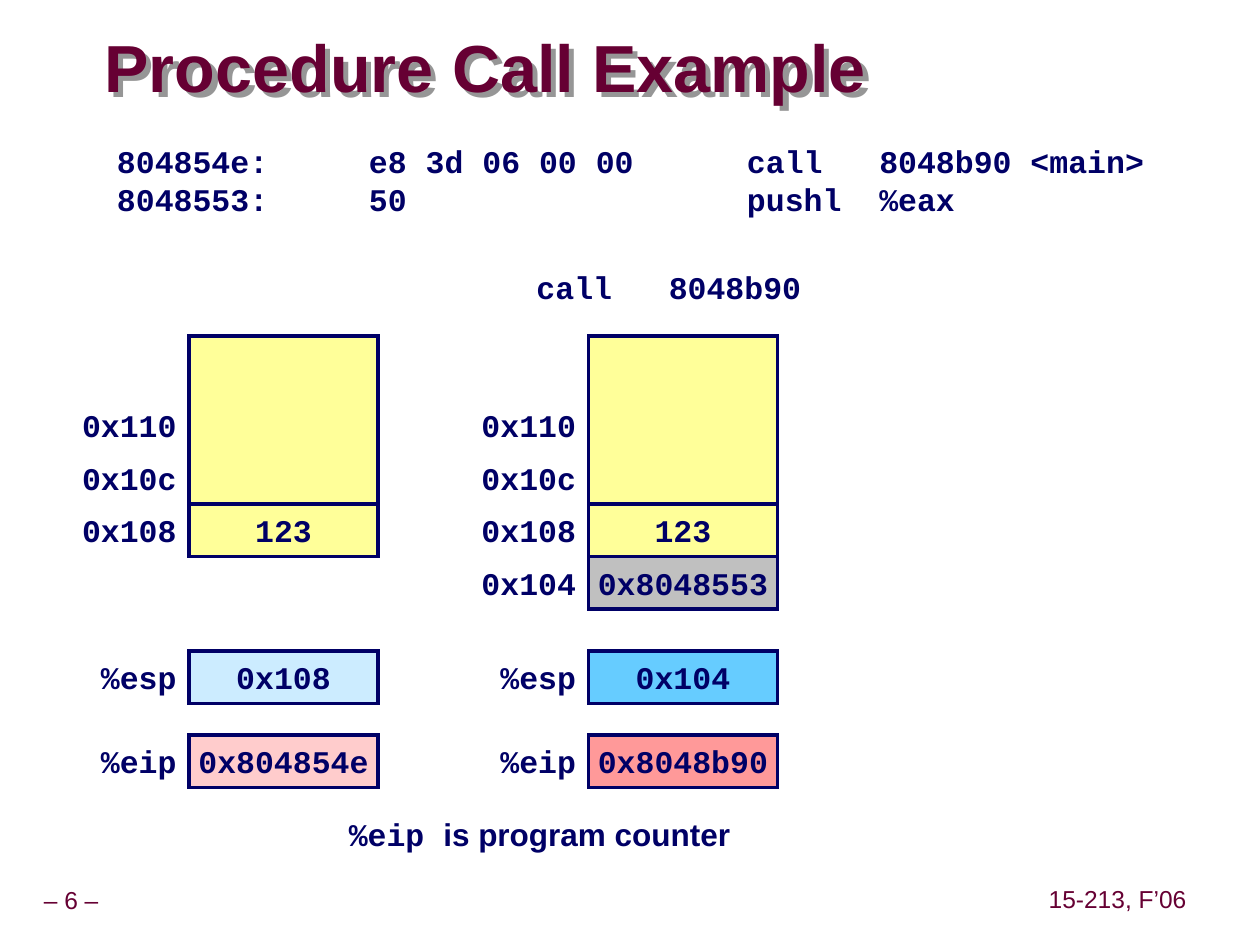
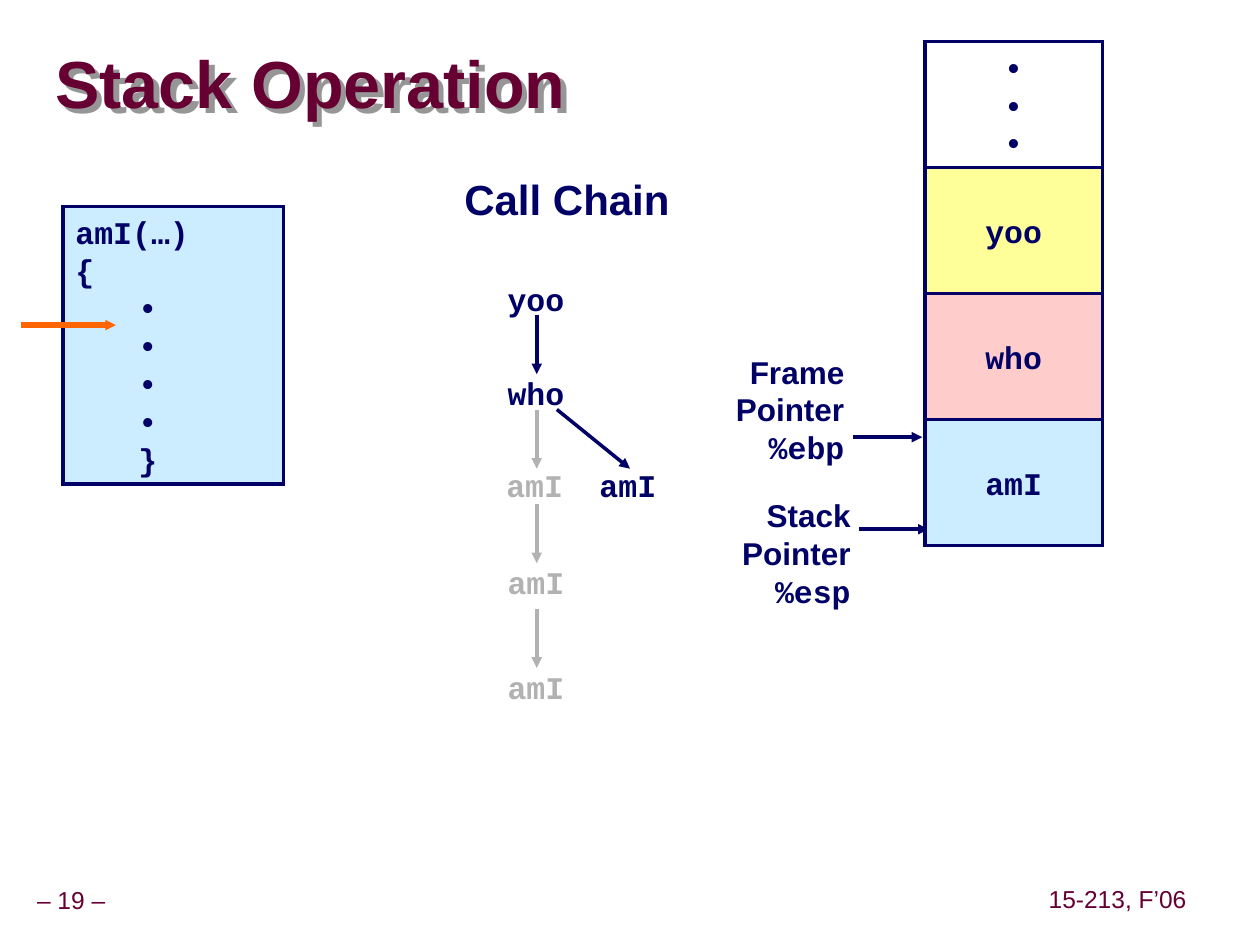
"""Build two slides on procedure calls and stack frames."""
import pptx
import pptx.util
import pptx.dml.color
import pptx.enum.text
import pptx.enum.shapes
import pptx.oxml
import pptx.oxml.ns

WIDE, HIGH = 10, 7.5
NAVY, WINE, GRAY, ORANGE = "000066", "660033", "B2B2B2", "FF6600"
YELLOW, PINK, SKY, WHITE = "FFFF99", "FFCCCC", "CCECFF", "FFFFFF"
SANS, MONO = "Arial", "Courier New"
COURSE = "15-213, F’06"

CODE = ["804854e:\te8 3d 06 00 00\tcall   8048b90 <main>",
        "8048553:\t50\tpushl  %eax"]
STOPS = (2, 5)
STEP = "call   8048b90"
NOTE = [[("%eip ", MONO), ("is program counter", SANS)]]

ROW, COL, BASE = HIGH / 18, 1.5, 4
ESP, EIP = 2.8, 4.4
STATES = [
    (COL, [(-2, "0x110", "", None), (-1, "0x10c", "", None),
           (0, "0x108", "123", YELLOW),
           (ESP, "%esp", "0x108", SKY), (EIP, "%eip", "0x804854e", PINK)]),
    (4.67, [(-2, "0x110", "", None), (-1, "0x10c", "", None),
            (0, "0x108", "123", YELLOW), (1, "0x104", "0x8048553", "C0C0C0"),
            (ESP, "%esp", "0x104", "66CCFF"),
            (EIP, "%eip", "0x8048b90", "FF9999")]),
]

BODY = ["amI(…)", "{", "•", "•", "•", "•", "}"]
STACK = [(["•"] * 3, None), (["yoo"], YELLOW), (["who"], PINK), (["amI"], SKY)]
FRAMES = [("Frame", "%ebp", 6.8, 2.75, 3.47), ("Stack", "%esp", 6.85, 3.89, 4.2)]
CHAIN = [("yoo", 3.93, 2.17, NAVY), ("who", 3.93, 2.92, NAVY),
         ("amI", 3.92, 3.65, GRAY), ("amI", 3.93, 4.42, GRAY),
         ("amI", 3.93, 5.25, GRAY), ("amI", 4.66, 3.65, NAVY)]
MID, DROP = 4.26, 0.47
LINKS = [(MID, 2.5, MID, NAVY), (MID, 3.25, MID, GRAY), (MID, 4, MID, GRAY),
         (MID, 4.83, MID, GRAY), (4.42, 3.25, 5, NAVY)]

Inch, Pt = pptx.util.Inches, pptx.util.Pt
ALIGN = pptx.enum.text.PP_ALIGN
ANCHOR = pptx.enum.text.MSO_ANCHOR
LEFT, MIDST, RIGHT = ALIGN.LEFT, ALIGN.CENTER, ALIGN.RIGHT


def hue(code):
    return pptx.dml.color.RGBColor.from_string(code)


def node(tag, inner="", **attrs):
    space = pptx.oxml.ns.nsdecls("a")
    extra = " ".join(f'{key}="{val}"' for key, val in attrs.items())
    return pptx.oxml.parse_xml(f"<a:{tag} {space} {extra}>{inner}</a:{tag}>")


def write(shape, lines, font=MONO, size=18, color=NAVY, align=LEFT,
          pad=0.1, top=0.05, bold=True, mid=False, space=None):
    frame = shape.text_frame
    frame.word_wrap = True
    frame.auto_size = pptx.enum.text.MSO_AUTO_SIZE.NONE
    frame.margin_left = frame.margin_right = Inch(pad)
    frame.margin_top = frame.margin_bottom = Inch(top)
    frame.vertical_anchor = ANCHOR.MIDDLE if mid else ANCHOR.TOP
    for i, line in enumerate(lines):
        para = frame.add_paragraph() if i else frame.paragraphs[0]
        para.alignment = align
        if space:
            para.line_spacing = space
        for words, face in [(line, font)] if isinstance(line, str) else line:
            run = para.add_run()
            run.text = words
            run.font.name, run.font.size, run.font.bold = face, Pt(size), bold
            run.font.color.rgb = hue(color)
    return frame


def label(slide, box, lines, **style):
    shape = slide.shapes.add_textbox(*map(Inch, box))
    return write(shape, lines, **style)


def block(slide, box, lines, fill, edge=True, **style):
    kind = pptx.enum.shapes.MSO_SHAPE.RECTANGLE
    shape = slide.shapes.add_shape(kind, *map(Inch, box))
    shape.shadow.inherit = False
    if fill:
        shape.fill.solid()
        shape.fill.fore_color.rgb = hue(fill)
    else:
        shape.fill.background()
    if edge:
        shape.line.color.rgb, shape.line.width = hue(NAVY), Pt(2)
        shape.line._get_or_add_ln().append(node("miter", lim=800000))
    else:
        shape.line.fill.background()
    return write(shape, lines, **style)


def arrow(slide, ends, color=NAVY, width=2, head="med"):
    kind = pptx.enum.shapes.MSO_CONNECTOR.STRAIGHT
    line = slide.shapes.add_connector(kind, *map(Inch, ends))
    line.line.color.rgb, line.line.width = hue(color), Pt(width)
    tip = node("tailEnd", type="triangle", w=head, len=head)
    line.line._get_or_add_ln().append(tip)
    line._element.spPr.append(node("effectLst"))


def start(deck, title, box, page):
    slide = deck.slides.add_slide(deck.slide_layouts[5])
    head = slide.shapes.title
    head.left, head.top, head.width, head.height = map(Inch, box)
    write(head, [title], font=SANS, size=38, color=WINE,
          pad=0, top=0, mid=True, space=0.87)
    head.fill.background()
    shade = ('<a:outerShdw dist="53882" dir="2700000" algn="ctr" '
             'rotWithShape="0"><a:srgbClr val="969696"/></a:outerShdw>')
    head._element.spPr.append(node("effectLst", shade))
    for words, box in [(f"– {page} –", (-0.09, 7, 1.31, 0.31)),
                       (COURSE, (8.27, 6.99, 1.2, 0.31))]:
        label(slide, box, [words], font=SANS, size=14, color=WINE,
              align=MIDST, pad=0, bold=False, mid=True, space=0.9)
    return slide


def calls(deck):
    slide = start(deck, "Procedure Call Example", (0.83, 0.25, 8.75, 0.63), 6)
    frame = label(slide, (0.83, 1.08, 8.75, 0.7), CODE)
    for para in frame.paragraphs:
        tabs = "".join(f'<a:tab pos="{Inch(x)}" algn="l"/>' for x in STOPS)
        para._p.get_or_add_pPr().append(node("tabLst", tabs))
    label(slide, (4.16, 2.08, 2.5, 0.4), [STEP])
    for left, rows in STATES:
        tall = 3.2 * ROW
        for row, name, value, fill in rows:
            top = BASE + row * ROW
            block(slide, (left - COL, top, COL, ROW), [name], WHITE,
                  edge=False, align=RIGHT, mid=True)
            if value:
                block(slide, (left, top, COL, ROW), [value], fill,
                      align=MIDST, pad=0.05, mid=True)
        block(slide, (left, BASE - tall, COL, tall), [], YELLOW)
    label(slide, (2.67, 6.42, 3.5, 0.4), NOTE)


def chain(deck):
    slide = start(deck, "Stack Operation", (0.44, 0.27, 9.53, 0.85), 19)
    for name, reg, right, top, tip in FRAMES:
        arrow(slide, (right - 0.03, tip, right + 0.52, tip))
        label(slide, (right - 1.3, top, 1.3, 1),
              [[(name, SANS)], [("Pointer", SANS)], reg], align=RIGHT)
    for i, (lines, fill) in enumerate(STACK):
        block(slide, (7.34, 0.33 + i, 1.41, 1), lines, fill,
              align=MIDST, mid=True)
    label(slide, (3.5, 1.33, 2, 0.5), ["Call Chain"],
          font=SANS, size=24, align=MIDST)
    frame = block(slide, (0.5, 1.64, 1.75, 2.2), BODY, SKY)
    for para in frame.paragraphs[2:]:
        para._p.get_or_add_pPr().set("marL", str(Inch(0.5)))
    arrow(slide, (0.17, 2.58, 0.92, 2.58), ORANGE, 3, "sm")
    for name, left, top, color in CHAIN:
        label(slide, (left, top, 0.66, 0.4), [name], color=color)
    for left, top, end, color in LINKS:
        arrow(slide, (left, top, end, top + DROP), color)


def main():
    deck = pptx.Presentation()
    deck.slide_width, deck.slide_height = Inch(WIDE), Inch(HIGH)
    calls(deck)
    chain(deck)
    deck.save("out.pptx")


if __name__ == "__main__":
    main()
